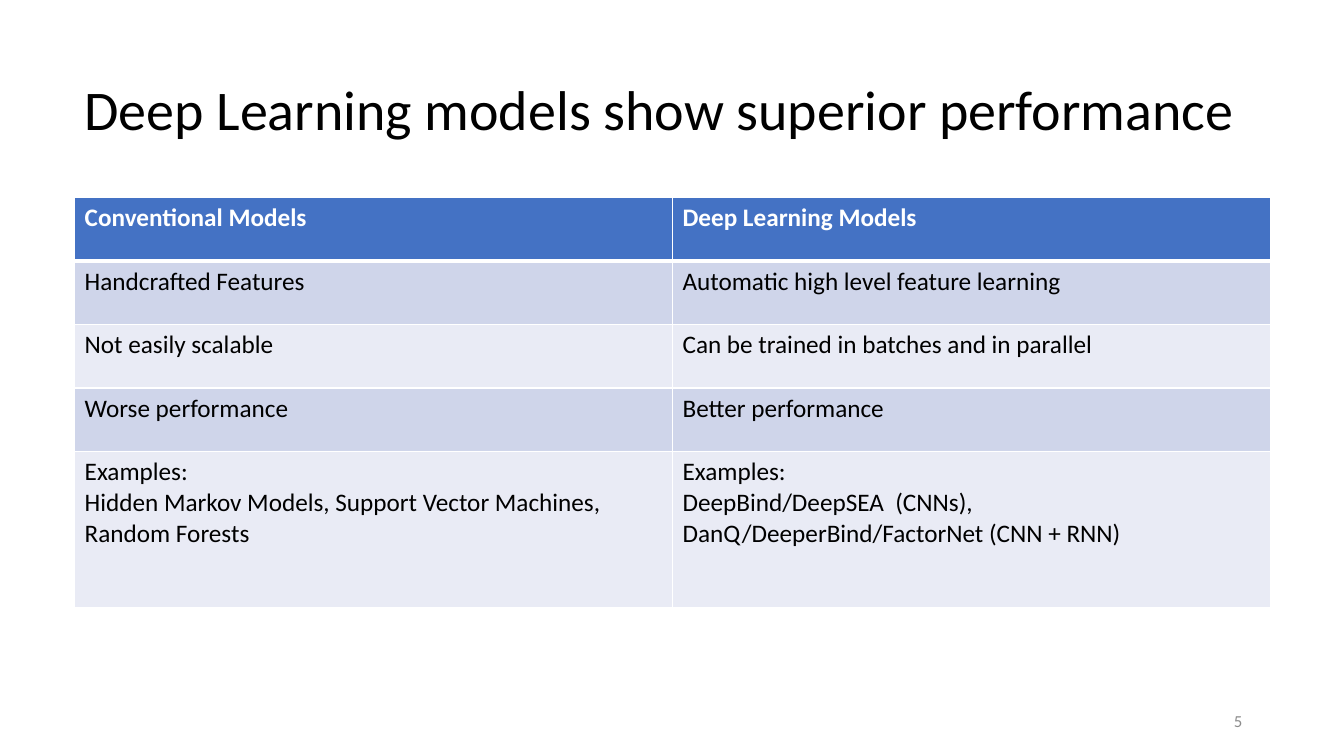
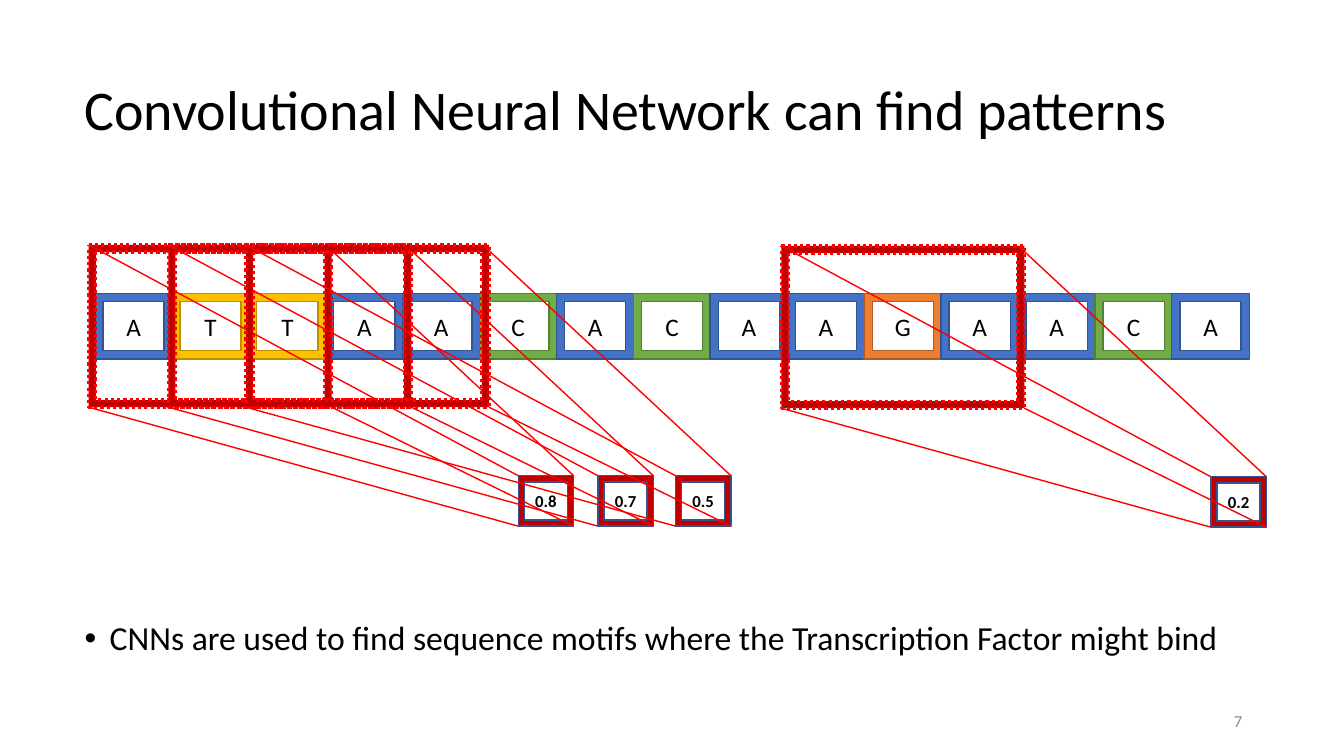
from lxml.etree import SubElement as Sub
from pptx import Presentation
from pptx.dml.color import RGBColor
from pptx.enum.dml import MSO_LINE
from pptx.enum.shapes import MSO_CONNECTOR, MSO_SHAPE
from pptx.enum.text import MSO_ANCHOR as Anchor, PP_ALIGN as Align
from pptx.oxml.ns import qn
from pptx.util import Inches, Pt

# Shared colours and font
FONT = "Calibri"
BLACK = RGBColor(0x00, 0x00, 0x00)
WHITE = RGBColor(0xFF, 0xFF, 0xFF)
GREY = RGBColor(0x8C, 0x8C, 0x8C)
BLUE = RGBColor(0x44, 0x72, 0xC4)
NAVY = RGBColor(0x32, 0x54, 0x91)
GOLD = RGBColor(0xFF, 0xC0, 0x00)
OCHRE = RGBColor(0xBD, 0x8E, 0x00)
GREEN = RGBColor(0x70, 0xAD, 0x47)
MOSS = RGBColor(0x53, 0x80, 0x35)
ORANGE = RGBColor(0xED, 0x7D, 0x31)
RUST = RGBColor(0xAF, 0x5C, 0x24)
RED = RGBColor(0xFF, 0x00, 0x00)
DARK_RED = RGBColor(0xC0, 0x00, 0x00)
BANDS = (RGBColor(0xE9, 0xEB, 0xF5), RGBColor(0xCF, 0xD5, 0xEA))

# Shared page edges
LEFT, WIDTH = 0.74, 11.86

# Table content
MODELS = [
    ("Conventional Models", "Deep Learning Models"),
    ("Handcrafted Features", "Automatic high level feature learning"),
    ("Not easily scalable", "Can be trained in batches and in parallel"),
    ("Worse performance", "Better performance"),
    ("Examples:\nHidden Markov Models, Support Vector Machines,\nRandom Forests",
     "Examples:\nDeepBind/DeepSEA  (CNNs),\nDanQ/DeeperBind/FactorNet (CNN + RNN)"),
]
ROWS = [0.63] * 4 + [1.55]

# Sequence: fill and line of each base, and the filter windows
BASES = {"A": (BLUE, NAVY), "T": (GOLD, OCHRE),
         "C": (GREEN, MOSS), "G": (ORANGE, RUST)}
CHAIN = "ATTAACACAAGAACA"
SCANS = [(0.88, 2.43, "0.8"), (7.75, 2.44, "0.2"),
         (1.67, 2.43, "0.7"), (2.44, 2.43, "0.5")]


def write(frame, text, size, color=BLACK, bold=False, align=Align.LEFT):
    """Fill a text frame, one paragraph for each line of text."""
    for i, line in enumerate(text.split("\n")):
        para = frame.add_paragraph() if i else frame.paragraphs[0]
        para.alignment = align
        run = para.add_run()
        run.text = line
        font = run.font
        font.name, font.size, font.bold = FONT, Pt(size), bold
        font.color.rgb = color


def label(slide, box, text, size, anchor=Anchor.MIDDLE, **style):
    """Add a wrapped text box and return its first paragraph."""
    frame = slide.shapes.add_textbox(*map(Inches, box)).text_frame
    frame.word_wrap = True
    frame.vertical_anchor = anchor
    write(frame, text, size, **style)
    return frame.paragraphs[0]


def page(deck, title, number):
    """Start a slide with its title and number."""
    slide = deck.slides.add_slide(deck.slide_layouts[6])
    head = label(slide, (LEFT, 0.39, WIDTH, 1.45), title, 40)
    head.line_spacing = 0.9
    label(slide, (9.42, 6.95, 3, 0.4), str(number), 12,
          color=GREY, align=Align.RIGHT)
    return slide


def bullet(slide, box, text):
    para = label(slide, box, text, 24, anchor=Anchor.TOP)
    para.line_spacing = 0.9
    para.space_before = Pt(10)
    props = para._p.get_or_add_pPr()
    props.set("marL", str(Inches(0.25)))
    props.set("indent", str(-Inches(0.25)))
    Sub(props, qn("a:buFont"), typeface="Arial")
    Sub(props, qn("a:buChar"), char="•")


def border(cell, base):
    """Draw white cell edges, the bottom one with its own width."""
    props = cell._tc.get_or_add_tcPr()
    for side, width in (("L", 1), ("R", 1), ("T", 1), ("B", base)):
        edge = Sub(props, qn("a:ln" + side), w=str(Pt(width)))
        fill = Sub(edge, qn("a:solidFill"))
        Sub(fill, qn("a:srgbClr"), val=str(WHITE))


def grid(slide, rows, heights, top):
    count = len(rows[0])
    box = map(Inches, (LEFT, top, WIDTH, sum(heights)))
    table = slide.shapes.add_table(len(rows), count, *box).table
    for col in table.columns:
        col.width = Inches(WIDTH / count)
    for r, texts in enumerate(rows):
        table.rows[r].height = Inches(heights[r])
        head = r == 0
        for c, text in enumerate(texts):
            cell = table.cell(r, c)
            border(cell, 3 if head else 1)
            cell.fill.solid()
            cell.fill.fore_color.rgb = BLUE if head else BANDS[r % 2]
            write(cell.text_frame, text, 18, WHITE if head else BLACK, head)


def frame(shapes, box, fill, line, width=1):
    """Add a hollow rectangle."""
    shape = shapes.add_shape(MSO_SHAPE.FRAME, *map(Inches, box))
    shape.shadow.inherit = False
    shape.fill.solid()
    shape.fill.fore_color.rgb = fill
    shape.line.color.rgb = line
    shape.line.width = Pt(width)
    return shape


def tile(shapes, box, text, size, fill, line, bold=False):
    """Add a frame with centred text."""
    body = frame(shapes, box, fill, line).text_frame
    body.margin_left = body.margin_right = 0
    body.margin_top = body.margin_bottom = 0
    body.word_wrap = False
    body.vertical_anchor = Anchor.MIDDLE
    write(body, text, size, bold=bold, align=Align.CENTER)


def ray(shapes, start, end):
    line = shapes.add_connector(MSO_CONNECTOR.STRAIGHT,
                                *map(Inches, start + end))
    line.line.color.rgb = RED
    line.line.width = Pt(1)
    Sub(line._element.spPr, qn("a:effectLst"))


def scan(slide, left, top, score):
    """Add a filter window, its score and the rays that join them."""
    shapes = slide.shapes.add_group_shape().shapes
    wide, high = 2.41, 1.61
    x, y, w, h = left + 4.26, top + 2.29, 0.55, 0.5
    window = frame(shapes, (left, top, wide, high), DARK_RED, RED, 2.25)
    window.adjustments[0] = 0.044
    window.line.dash_style = MSO_LINE.ROUND_DOT
    ray(shapes, (left, top), (x, y))
    ray(shapes, (left + 2.35, top), (x + w, y))
    tile(shapes, (x, y, w, h), score, 12, DARK_RED, NAVY, bold=True)
    ray(shapes, (left, top + high), (x, y + h))
    ray(shapes, (left + wide, top + high), (x + w, y + h))


def chain(slide, bases):
    """Add the row of bases."""
    shapes = slide.shapes.add_group_shape().shapes
    for i, base in enumerate(bases):
        tile(shapes, (0.94 + i * 0.763, 2.91, 0.77, 0.65), base, 18,
             *BASES[base])


def main():
    deck = Presentation()
    deck.slide_width, deck.slide_height = Inches(13.33), Inches(7.5)

    # Model comparison
    slide = page(deck, "Deep Learning models show superior performance", 5)
    grid(slide, MODELS, ROWS, 1.96)

    # Convolution over the sequence
    slide = page(deck, "Convolutional Neural Network can find patterns", 7)
    bullet(slide, (LEFT, 6.12, WIDTH, 0.79),
           "CNNs are used to find sequence motifs where the "
           "Transcription Factor might bind")
    chain(slide, CHAIN)
    for left, top, score in SCANS:
        scan(slide, left, top, score)

    deck.save("out.pptx")


if __name__ == "__main__":
    main()
